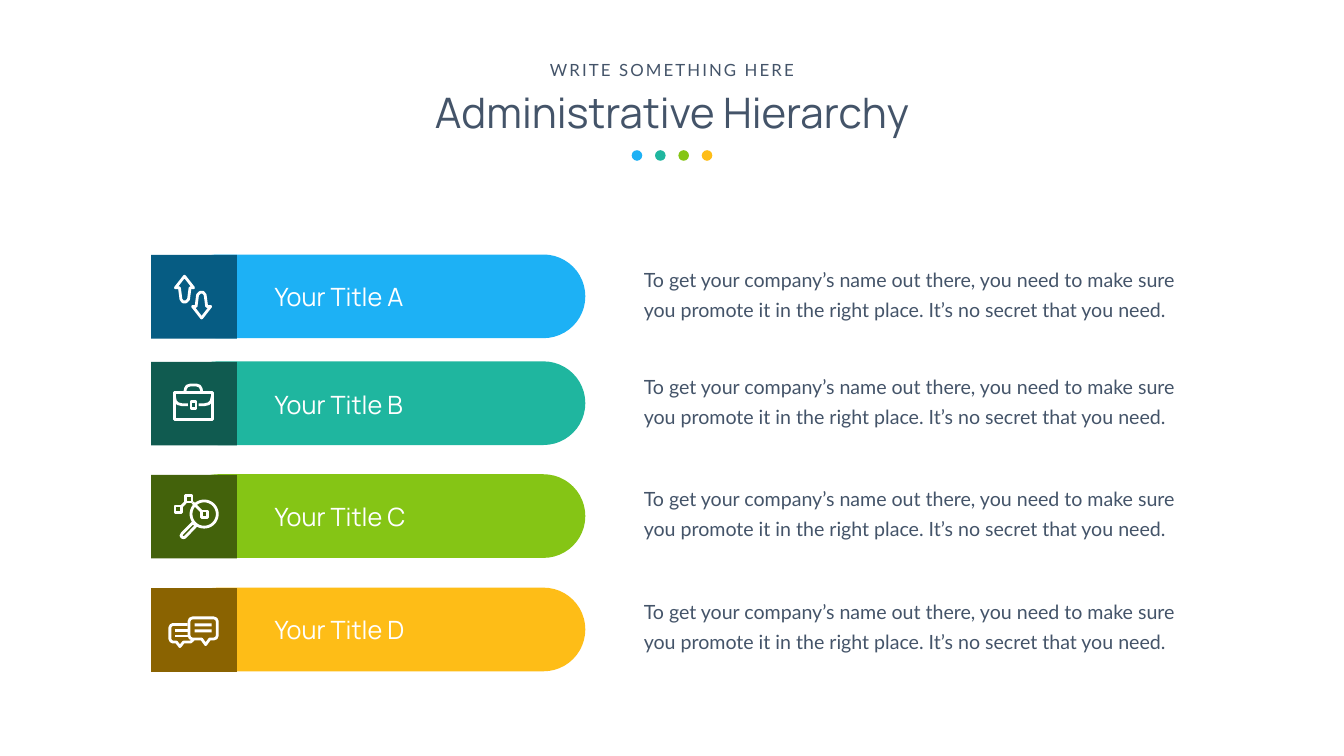
import math

import pptx
import pptx.dml.color
import pptx.enum.shapes
import pptx.enum.text
import pptx.util

KIND = pptx.enum.shapes.MSO_SHAPE
ALIGN = pptx.enum.text.PP_ALIGN
SLIDE_WIDTH, SLIDE_HEIGHT = 26.66, 15
INK, WHITE = "445469", "FFFFFF"

KICKER = "WRITE SOMETHING HERE"
HEADING = "Administrative Hierarchy"
BODY = ("To get your company’s name out there, you need to make sure "
        "you promote it in the right place. It’s no secret that you need.")
ROWS = [
    {"title": "Your Title A", "bar": "1DB1F5", "tile": "065C83", "icon": "arrows",
     "top": 5.05, "title_top": 5.53, "body_top": 5.06},
    {"title": "Your Title B", "bar": "1FB69F", "tile": "105B50", "icon": "briefcase",
     "top": 7.17, "title_top": 7.68, "body_top": 7.18},
    {"title": "Your Title C", "bar": "85C515", "tile": "43620B", "icon": "magnifier",
     "top": 9.41, "title_top": 9.89, "body_top": 9.41},
    {"title": "Your Title D", "bar": "FEBD17", "tile": "8A6301", "icon": "chat",
     "top": 11.66, "title_top": 12.14, "body_top": 11.66},
]

COLUMNS = {"tile": (3, 1.7), "bar": (3.49, 8.12), "title": (5.35, 3.02), "body": (12.53, 11.13)}
ROW_HEIGHT = 1.66
TILE_DROP = 0.01
DOT_SIZE, DOT_STEP, DOT_TOP = 0.21, 0.463, 2.98
ICON_GRID = 100
ICON_LINE = 4


def closed(points):
    return points + points[:1]


def box(left, top, width, height):
    right, bottom = left + width, top + height
    return closed([(left, top), (right, top), (right, bottom), (left, bottom)])


def circle(x, y, radius, steps=48):
    angles = [2 * math.pi * step / steps for step in range(steps)]
    return closed([(x + radius * math.cos(a), y + radius * math.sin(a)) for a in angles])


ARROW_UP = closed([(66, 42), (48, 65), (56, 65), (59, 88), (63, 93),
                   (69, 93), (74, 88), (77, 65), (84, 65)])
ARROW_DOWN = [(166 - x, 167 - y) for x, y in ARROW_UP]
FLAP_LEFT = [(46, 69), (48, 78), (53, 83), (61, 85), (73, 85)]
FLAP_RIGHT = [(167 - x, y) for x, y in FLAP_LEFT]
HANDLE = [(67, 58), (68, 53), (71, 48), (77, 46), (90, 46), (96, 48), (99, 53), (100, 58)]
GRIP = closed([(83, 95), (61, 117), (59, 121), (61, 124), (64, 125), (67, 124), (89, 101)])
FRONT_BUBBLE = closed([(82, 59), (124, 59), (129, 61), (131, 66), (131, 94), (129, 99),
                       (124, 101), (116, 101), (108, 112), (100, 101), (82, 101), (77, 99),
                       (75, 94), (75, 66), (77, 61)])
BACK_BUBBLE = [(72, 72), (43, 72), (39, 74), (37, 78), (37, 101), (39, 105), (43, 107),
               (50, 107), (57, 116), (64, 107), (78, 107), (84, 102)]

ICONS = {
    "arrows": {"outlines": [[ARROW_UP], [ARROW_DOWN]]},
    "briefcase": {"outlines": [[HANDLE, FLAP_LEFT, FLAP_RIGHT,
                                box(46, 60, 76, 55), box(79, 79, 10, 13)]]},
    "magnifier": {"outlines": [[GRIP, circle(105, 78, 26), box(99, 72, 13, 13),
                                box(68, 41, 13, 13), box(47, 62, 13, 13),
                                [(68, 55), (60, 63)], [(82, 55), (100, 73)]]]},
    "chat": {
        "outlines": [[FRONT_BUBBLE, BACK_BUBBLE, [(47, 84), (72, 84)], [(47, 95), (73, 95)]]],
        "bars": [(86, 70, 34, 6), (86, 82, 34, 6)],
    },
}


def color(value):
    return pptx.dml.color.RGBColor.from_string(value)


def inches(*values):
    return [pptx.util.Inches(value) for value in values]


def add_filled(slide, kind, bounds, fill):
    shape = slide.shapes.add_shape(kind, *inches(*bounds))
    shape.shadow.inherit = False
    shape.fill.solid()
    shape.fill.fore_color.rgb = color(fill)
    shape.line.fill.background()
    return shape


def add_text(slide, bounds, text, font, wrap=True, align=ALIGN.LEFT, margins=(0.1, 0.05),
             line_spacing=None, tracking=None):
    frame = slide.shapes.add_textbox(*inches(*bounds)).text_frame
    horizontal, vertical = inches(*margins)
    frame_format = {
        "word_wrap": wrap, "auto_size": pptx.enum.text.MSO_AUTO_SIZE.SHAPE_TO_FIT_TEXT,
        "margin_left": horizontal, "margin_right": horizontal,
        "margin_top": vertical, "margin_bottom": vertical,
    }
    for name, value in frame_format.items():
        setattr(frame, name, value)
    paragraph = frame.paragraphs[0]
    paragraph.alignment = align
    if line_spacing:
        paragraph.line_spacing = pptx.util.Pt(line_spacing)
    run = paragraph.add_run()
    run.text = text
    name, size, ink = font
    for attribute, value in {"name": name, "size": pptx.util.Pt(size)}.items():
        setattr(run.font, attribute, value)
    run.font.color.rgb = color(ink)
    if tracking:
        run.font._element.set("spc", str(tracking * 100))


def add_icon(slide, icon, left, top):
    def place(point):
        return inches(left + point[0] / ICON_GRID, top + point[1] / ICON_GRID)

    for contours in icon["outlines"]:
        builder = slide.shapes.build_freeform(*place(contours[0][0]))
        for index, contour in enumerate(contours):
            start, *rest = [place(point) for point in contour]
            if index:
                builder.move_to(*start)
            builder.add_line_segments(rest, close=contour[0] == contour[-1])
        shape = builder.convert_to_shape()
        shape.shadow.inherit = False
        shape.fill.background()
        shape.line.color.rgb = color(WHITE)
        shape.line.width = pptx.util.Pt(ICON_LINE)
    for x, y, width, height in icon.get("bars", []):
        bounds = (left + x / ICON_GRID, top + y / ICON_GRID, width / ICON_GRID, height / ICON_GRID)
        add_filled(slide, KIND.RECTANGLE, bounds, WHITE)


def add_header(slide):
    add_text(slide, (5.3, 1.67, 16.06, 1.11), HEADING, ("Manrope", 60, INK), align=ALIGN.CENTER)
    add_text(slide, (10.76, 1.13, 5.14, 0.5), KICKER, ("Lato", 24, INK), wrap=False,
             align=ALIGN.CENTER, tracking=3)
    dots_width = DOT_STEP * (len(ROWS) - 1) + DOT_SIZE
    for index, row in enumerate(ROWS):
        left = (SLIDE_WIDTH - dots_width) / 2 + index * DOT_STEP
        add_filled(slide, KIND.OVAL, (left, DOT_TOP, DOT_SIZE, DOT_SIZE), row["bar"])


def add_row(slide, row):
    bar_left, bar_width = COLUMNS["bar"]
    bar = add_filled(slide, KIND.ROUNDED_RECTANGLE,
                     (bar_left, row["top"], bar_width, ROW_HEIGHT), row["bar"])
    bar.adjustments[0] = 0.5
    tile_left, tile_width = COLUMNS["tile"]
    tile_top = row["top"] + TILE_DROP
    add_filled(slide, KIND.RECTANGLE, (tile_left, tile_top, tile_width, ROW_HEIGHT), row["tile"])
    title_left, title_width = COLUMNS["title"]
    add_text(slide, (title_left, row["title_top"], title_width, 0.71), row["title"],
             ("Manrope", 36, WHITE), wrap=False)
    body_left, body_width = COLUMNS["body"]
    add_text(slide, (body_left, row["body_top"], body_width, 1.39), BODY, ("Lato", 28, INK),
             margins=(0.24, 0.12), line_spacing=43)
    add_icon(slide, ICONS[row["icon"]], tile_left, tile_top)


def main():
    presentation = pptx.Presentation()
    presentation.slide_width, presentation.slide_height = inches(SLIDE_WIDTH, SLIDE_HEIGHT)
    slide = presentation.slides.add_slide(presentation.slide_layouts[6])
    add_header(slide)
    for row in ROWS:
        add_row(slide, row)
    presentation.save("out.pptx")


if __name__ == "__main__":
    main()
